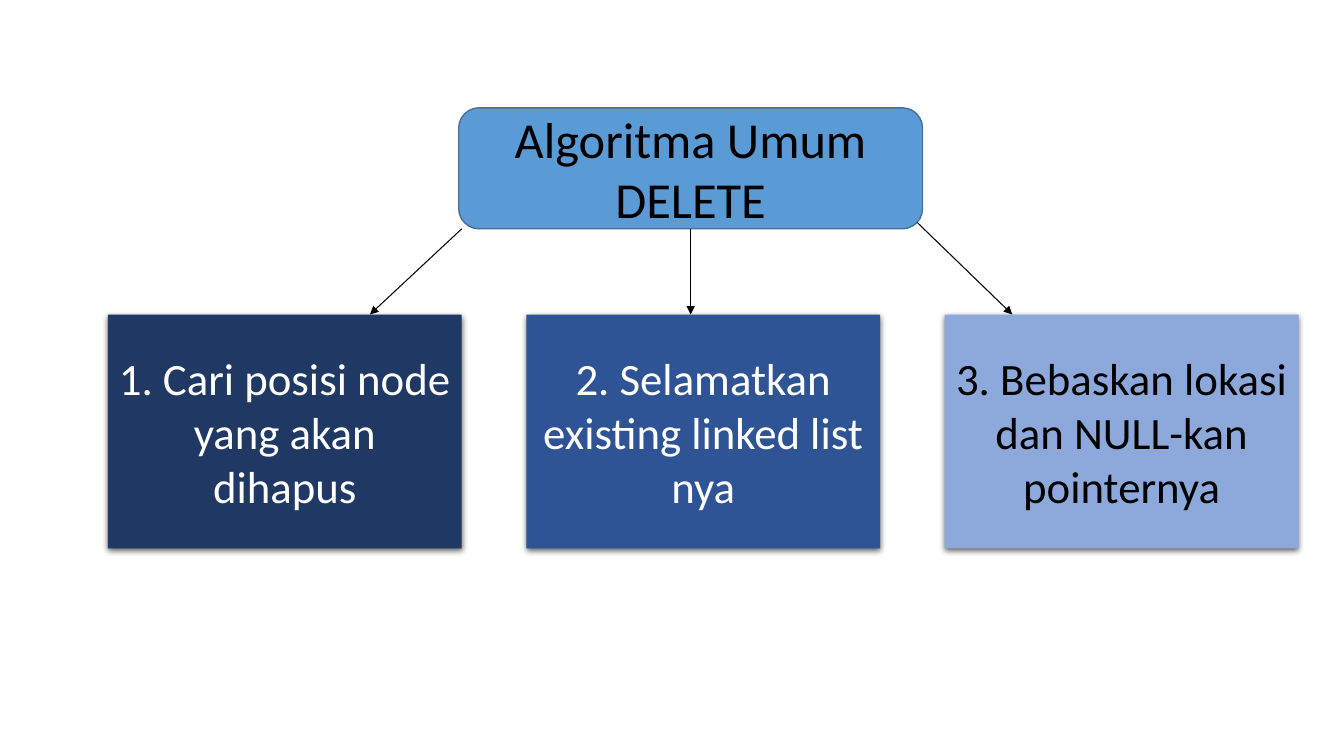
import pptx
import pptx.util
import pptx.dml.color
import pptx.enum.shapes
import pptx.enum.text
import pptx.oxml
import pptx.oxml.ns

Inches = pptx.util.Inches
Pt = pptx.util.Pt
Color = pptx.dml.color.RGBColor
Kind = pptx.enum.shapes.MSO_SHAPE

NAVY = Color(0x1F, 0x38, 0x64)
BLUE = Color(0x2F, 0x54, 0x96)
PALE = Color(0x8D, 0xA9, 0xDB)
SKY = Color(0x5B, 0x9B, 0xD5)
EDGE = Color(0x42, 0x71, 0x9B)
BLACK = Color(0, 0, 0)
WHITE = Color(0xFF, 0xFF, 0xFF)

NS = pptx.oxml.ns.nsdecls("a")
SHADE = (
    f'<a:outerShdw {NS} blurRad="57150" dist="19050" dir="5400000" '
    'algn="ctr" rotWithShape="0"><a:srgbClr val="000000">'
    '<a:alpha val="63000"/></a:srgbClr></a:outerShdw>'
)

STEPS = [
    ("1. Cari posisi node yang akan dihapus", NAVY, WHITE),
    ("2. Selamatkan existing linked list nya", BLUE, WHITE),
    ("3. Bebaskan lokasi dan NULL-kan pointernya", PALE, BLACK),
]


def add_box(slide, kind, box, text, size, fill, ink):
    shape = slide.shapes.add_shape(kind, *map(Inches, box))
    shape.shadow.inherit = False
    shape.fill.solid()
    shape.fill.fore_color.rgb = fill
    frame = shape.text_frame
    frame.word_wrap = True
    frame.vertical_anchor = pptx.enum.text.MSO_ANCHOR.MIDDLE
    para = frame.paragraphs[0]
    para.alignment = pptx.enum.text.PP_ALIGN.CENTER
    run = para.add_run()
    run.text = text
    run.font.name = "Calibri"
    run.font.size = Pt(size)
    run.font.color.rgb = ink
    return shape


def add_head(slide, box):
    head = add_box(slide, Kind.FLOWCHART_ALTERNATE_PROCESS, box,
                   "Algoritma Umum DELETE", 36, SKY, BLACK)
    head.line.color.rgb = EDGE
    head.line.width = Pt(1)
    return head


def add_steps(slide, box, gap):
    left, top, width, height = box
    wide = (width - gap * (len(STEPS) - 1)) / len(STEPS)
    for col, (text, fill, ink) in enumerate(STEPS):
        place = (left + col * (wide + gap), top, wide, height)
        step = add_box(slide, Kind.RECTANGLE, place, text, 32, fill, ink)
        step.line.fill.background()
        effects = step._element.spPr.find(pptx.oxml.ns.qn("a:effectLst"))
        effects.append(pptx.oxml.parse_xml(SHADE))


def add_arrow(slide, start, end):
    arrow = slide.shapes.add_connector(
        pptx.enum.shapes.MSO_CONNECTOR.STRAIGHT, *map(Inches, start + end))
    arrow.line.color.rgb = BLACK
    arrow.line.width = Pt(0.75)
    line = arrow.line._get_or_add_ln()
    line.append(pptx.oxml.parse_xml(f'<a:tailEnd {NS} type="triangle"/>'))
    arrow._element.spPr.append(pptx.oxml.parse_xml(f"<a:effectLst {NS}/>"))
    return arrow


def add_links(slide, head, box, floor):
    left, top, width, height = box
    base = top + height
    mid = left + width / 2
    add_arrow(slide, (left + 0.03, base), (left - 0.88, floor))
    stem = add_arrow(slide, (mid, base), (mid, floor))
    stem.begin_connect(head, 2)
    right = left + width
    add_arrow(slide, (right - 0.05, base - 0.06), (right + 0.89, floor))


def main():
    deck = pptx.Presentation()
    deck.slide_width = Inches(13.33)
    deck.slide_height = Inches(7.5)
    slide = deck.slides.add_slide(deck.slide_layouts[6])
    crown = (4.55, 1.07, 4.6, 1.2)
    row = (1.07, 3.12, 11.81, 2.32)
    add_steps(slide, row, 0.64)
    head = add_head(slide, crown)
    add_links(slide, head, crown, row[1])
    deck.save("out.pptx")


if __name__ == "__main__":
    main()
